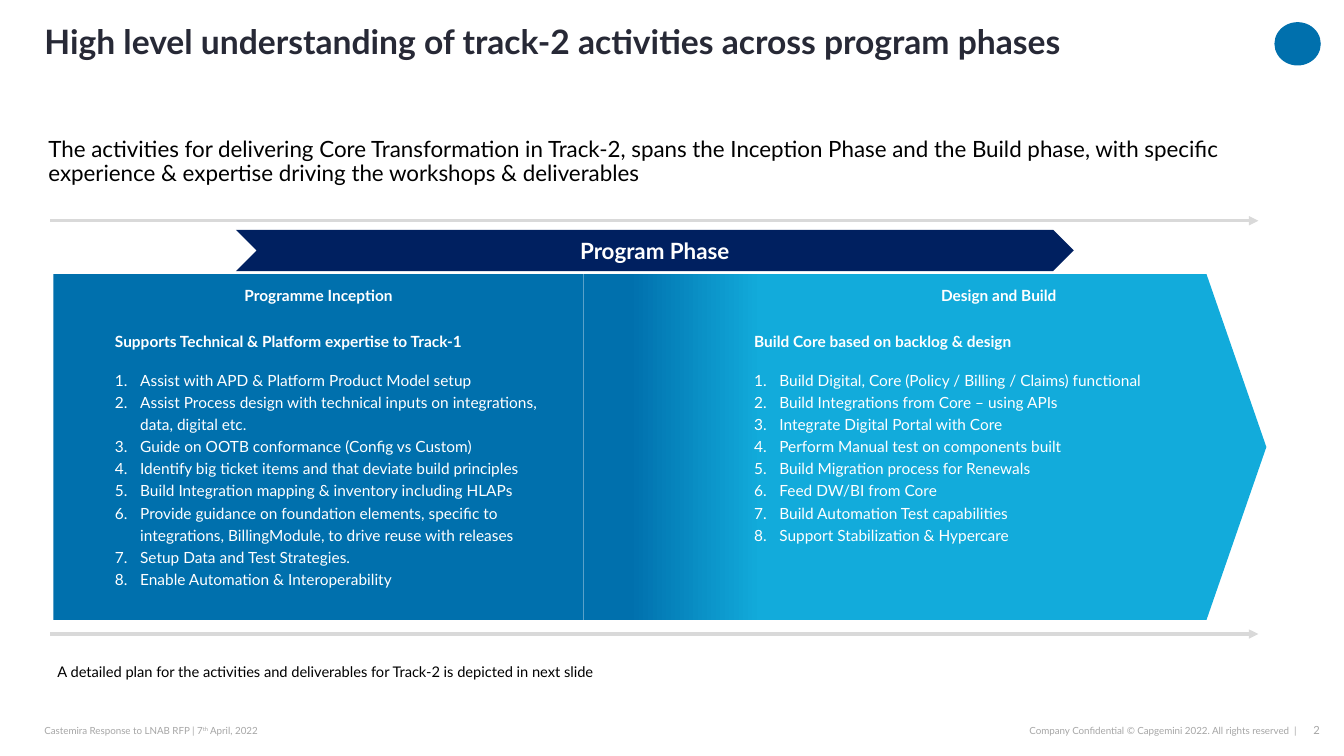
"""Builds a slide comparing track-2 activities in the inception and build phases."""
from lxml.etree import SubElement
from pptx import Presentation
from pptx.dml.color import RGBColor
from pptx.enum.shapes import MSO_CONNECTOR as Connector, MSO_SHAPE as Shape
from pptx.enum.text import MSO_ANCHOR as Anchor, MSO_AUTO_SIZE as AutoSize, PP_ALIGN as Align
from pptx.oxml.ns import qn
from pptx.util import Inches, Pt

TITLE = "High level understanding of track-2 activities across program phases"
SUMMARY = (
    "The activities for delivering Core Transformation in Track-2, spans the Inception Phase "
    "and the Build phase, with specific experience & expertise driving the workshops & deliverables"
)
CLOSING = "A detailed plan for the activities and deliverables for Track-2 is depicted in next slide"
BANNER = "Program Phase"
PHASES = [
    ("Programme Inception", "Supports Technical & Platform expertise to Track-1", [
        "Assist with APD & Platform Product Model setup",
        "Assist Process design with technical inputs on integrations, data, digital etc.",
        "Guide on OOTB conformance (Config vs Custom)",
        "Identify big ticket items and that deviate build principles",
        "Build Integration mapping & inventory including HLAPs",
        "Provide guidance on foundation elements, specific to integrations, "
        "BillingModule, to drive reuse with releases",
        "Setup Data and Test Strategies.",
        "Enable Automation & Interoperability",
    ]),
    ("Design and Build", "Build Core based on backlog & design", [
        "Build Digital, Core (Policy / Billing / Claims) functional",
        "Build Integrations from Core – using APIs",
        "Integrate Digital Portal with Core",
        "Perform Manual test on components built",
        "Build Migration process for Renewals",
        "Feed DW/BI from Core",
        "Build Automation Test capabilities",
        "Support Stabilization & Hypercare",
    ]),
]
FOOTER = ["Castemira Response to LNAB RFP | 7", "th", " April, 2022"]
COPYRIGHT = "Company Confidential © Capgemini 2022. All rights reserved  |"
PAGE_NUMBER = "2"

COLORS = {
    "ink": "272936", "black": "000000", "white": "FFFFFF", "muted": "A6A6A6",
    "rule": "D9D9D9", "navy": "002060", "deep": "0070AD", "bright": "12ABDB",
}
FONT = "Lato"
WIDTH, HEIGHT = 13.33, 7.5
MARGIN = 0.44
BAND_TOP, BAND_HEIGHT = 2.72, 3.43
BAND_EDGES = [0.53, 5.79, 7.55, 12.56]
LIST_LEFTS, LIST_TOP, LIST_WIDTH, LIST_HEIGHT = [1.04, 7.38], 3.24, 4.74, 2.75
RULE_LEFT, RULE_RIGHT, RULE_TOPS = 0.5, 12.48, [2.19, 6.29]
FOOTER_TOP, FOOTER_HEIGHT = 7.13, 0.24
SNUG = (0.04, 0.04, 0.04, 0)
NO_INSET = (0, 0, 0, 0)


def color(name):
    return RGBColor.from_string(COLORS[name])


def style(para, size, ink, bold=False, align=Align.LEFT, spacing=None):
    para.alignment = align
    para.line_spacing = spacing
    for span in para.runs:
        span.font.name, span.font.size, span.font.bold = FONT, Pt(size), bold
        span.font.color.rgb = color(ink)


def prepare(box, insets, anchor=Anchor.TOP, wrap=True):
    frame = box.text_frame
    frame.auto_size, frame.word_wrap, frame.vertical_anchor = AutoSize.NONE, wrap, anchor
    frame.margin_left, frame.margin_top, frame.margin_right, frame.margin_bottom = map(Inches, insets)
    return frame


def place(box, left, top, width, height):
    box.left, box.top, box.width, box.height = map(Inches, (left, top, width, height))


def add_label(page, area, text, size, ink, insets, anchor=Anchor.TOP, **looks):
    frame = prepare(page.shapes.add_textbox(*map(Inches, area)), insets, anchor)
    frame.text = text
    style(frame.paragraphs[0], size, ink, **looks)
    return frame.paragraphs[0]


def add_block(page, kind, area, fill=None):
    block = page.shapes.add_shape(kind, *map(Inches, area))
    block.shadow.inherit = False
    block.line.fill.background()
    if fill:
        block.fill.solid()
        block.fill.fore_color.rgb = color(fill)
    return block


def add_rule(page, top):
    rule = page.shapes.add_connector(
        Connector.STRAIGHT, *map(Inches, (RULE_LEFT, top, RULE_RIGHT, top)))
    rule.line.color.rgb, rule.line.width = color("rule"), Pt(2.25)
    SubElement(rule.line._get_or_add_ln(), qn("a:tailEnd"), type="triangle")
    SubElement(rule.element.spPr, qn("a:effectLst"))


def set_bullet(para, numbered):
    props = para._p.get_or_add_pPr()
    indent = Inches(0.25) if numbered else 0
    props.set("marL", str(indent))
    props.set("indent", str(-indent))
    if numbered:
        SubElement(props, qn("a:buFont"), typeface="+mj-lt")
        SubElement(props, qn("a:buAutoNum"), type="arabicPeriod")
    else:
        SubElement(props, qn("a:buNone"))


def fill_list(page, body, left, heading, items):
    page.shapes.element.append(body.element)
    place(body, left, LIST_TOP, LIST_WIDTH, LIST_HEIGHT)
    frame = prepare(body, (0.1, 0.05, 0.1, 0.05))
    frame.text = "\n".join([heading, *items])
    for index, para in enumerate(frame.paragraphs):
        set_bullet(para, numbered=index > 0)
        para.space_before, para.space_after = Pt(0), Pt(0 if index else 12)
        style(para, 11, "white", bold=index == 0, spacing=1.2 if index else 1.0)


def add_phases(page):
    start, blend_start, blend_end, end = BAND_EDGES
    panels = [(Shape.RECTANGLE, start, blend_start, "deep"), (Shape.PENTAGON, blend_end, end, "bright")]
    for (kind, left, right, fill), (name, _, _) in zip(panels, PHASES):
        panel = add_block(page, kind, (left, BAND_TOP, right - left, BAND_HEIGHT), fill)
        if kind == Shape.PENTAGON:
            panel.adjustments[0] = 0.173
        frame = prepare(panel, (0.04, 0.12, 0.04, 0.04), wrap=False)
        frame.text = name
        style(frame.paragraphs[0], 11, "white", bold=True, align=Align.CENTER)

    blend = add_block(page, Shape.RECTANGLE, (blend_start, BAND_TOP, blend_end - blend_start, BAND_HEIGHT))
    blend.fill.gradient()
    blend.fill.gradient_angle = 0
    for stop, position, shade in zip(blend.fill.gradient_stops, (0.26, 1), ("deep", "bright")):
        stop.position, stop.color.rgb = position, color(shade)

    bodies = [box for box in page.placeholders if box.placeholder_format.idx in (1, 2)]
    for body, left, (_, heading, items) in zip(bodies, LIST_LEFTS, PHASES):
        fill_list(page, body, left, heading, items)


def add_banner(page):
    banner = add_block(page, Shape.CHEVRON, (2.34, 2.28, 8.31, 0.41), "navy")
    frame = prepare(banner, (0.1, 0.05, 0.1, 0.05), Anchor.MIDDLE)
    frame.text = BANNER
    style(frame.paragraphs[0], 16, "white", bold=True, align=Align.CENTER)


def add_footer(page):
    para = add_label(page, (MARGIN, FOOTER_TOP, 3.73, FOOTER_HEIGHT), FOOTER[0],
                     7, "muted", NO_INSET, Anchor.MIDDLE)
    for part in FOOTER[1:]:
        para.add_run().text = part
    style(para, 7, "muted")
    para.runs[1].font._element.set("baseline", "30000")
    add_label(page, (7.9, FOOTER_TOP, 4.96, FOOTER_HEIGHT), COPYRIGHT,
              7, "muted", NO_INSET, Anchor.MIDDLE, align=Align.RIGHT)
    add_label(page, (12.84, FOOTER_TOP, 0.25, FOOTER_HEIGHT), PAGE_NUMBER,
              8, "muted", (0, 0.05, 0, 0.05), align=Align.RIGHT)


def main():
    deck = Presentation()
    deck.slide_width, deck.slide_height = Inches(WIDTH), Inches(HEIGHT)
    page = deck.slides.add_slide(deck.slide_layouts.get_by_name("Two Content"))
    title = page.shapes.title
    place(title, MARGIN, 0.25, 11.68, 0.78)
    frame = prepare(title, NO_INSET)
    frame.text = TITLE
    style(frame.paragraphs[0], 24, "ink", bold=True, spacing=0.9)

    add_block(page, Shape.OVAL, (12.64, 0.22, 0.46, 0.43), "deep")
    add_label(page, (MARGIN, 1.33, 12.03, 0.56), SUMMARY, 16, "black", SNUG, spacing=0.9)
    for top in RULE_TOPS:
        add_rule(page, top)
    add_phases(page)
    add_banner(page)
    add_label(page, (0.53, 6.56, 6.25, 0.56), CLOSING, 10.5, "black", SNUG, spacing=0.9)
    add_footer(page)
    deck.save("out.pptx")


if __name__ == "__main__":
    main()
